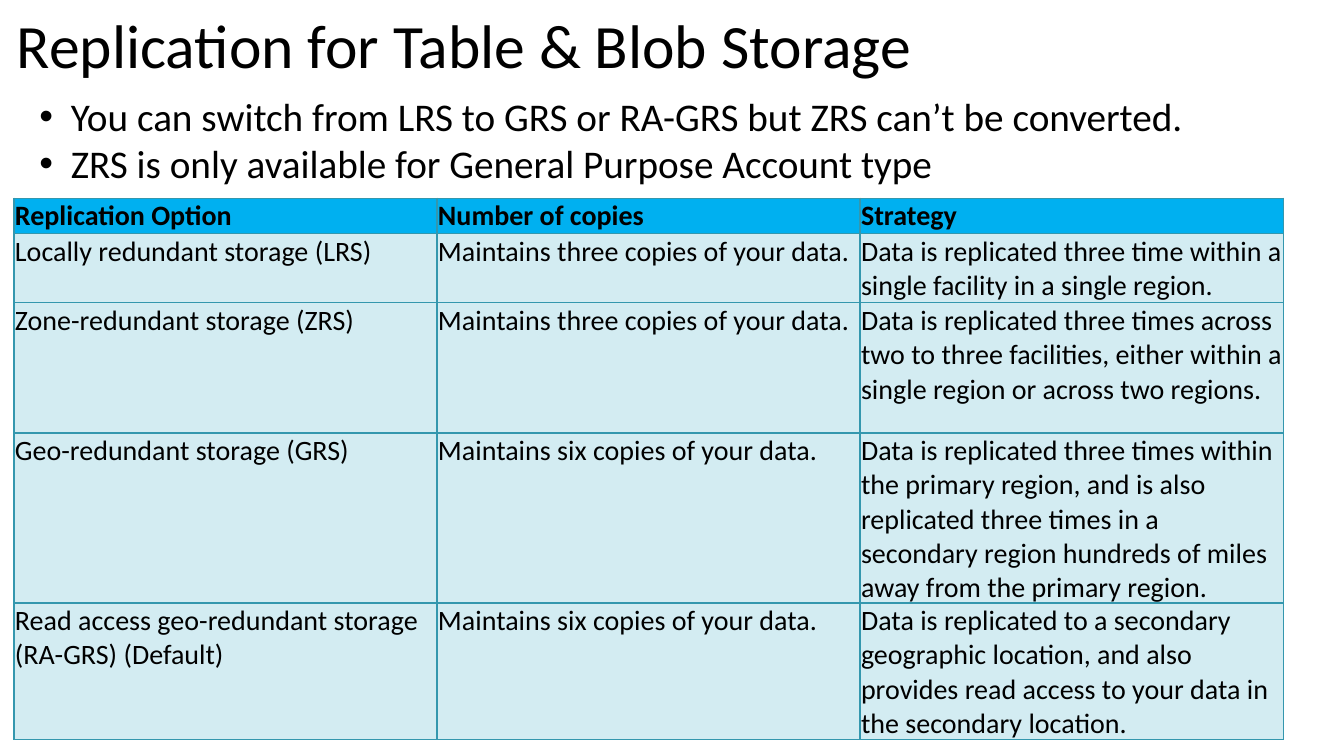
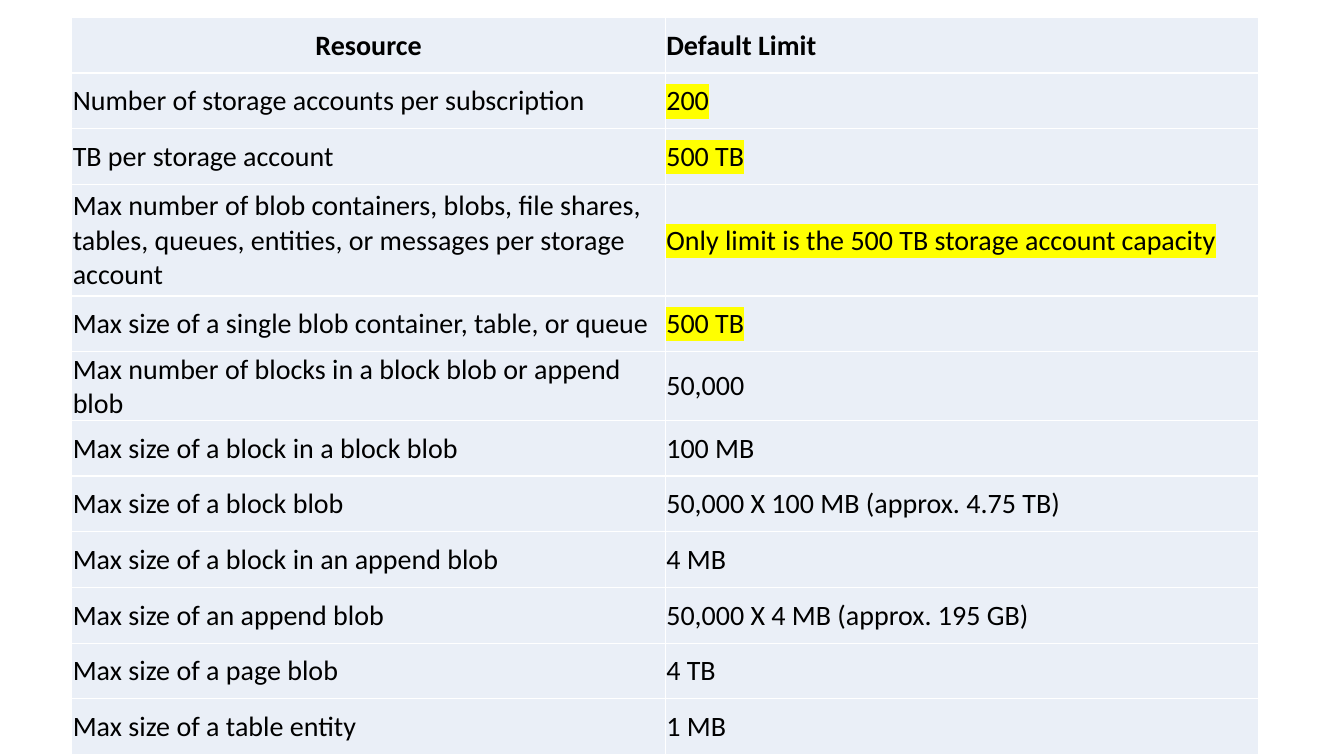
from lxml import etree
from pptx import Presentation
from pptx.dml.color import RGBColor
from pptx.enum import text as t
from pptx.oxml import ns
from pptx.util import Pt

BLACK = RGBColor(0x00, 0x00, 0x00)
WHITE = RGBColor(0xFF, 0xFF, 0xFF)
SKY = RGBColor(0x00, 0xB0, 0xF0)
PALE_TEAL = RGBColor(0xD3, 0xEC, 0xF2)
TEAL = RGBColor(0x34, 0x97, 0xAE)
PALE_BLUE = RGBColor(0xEA, 0xEF, 0xF7)
YELLOW = RGBColor(0xFF, 0xFF, 0x00)

REPLICATION_ROWS = [
    ("Replication Option", "Number of copies", "Strategy"),
    ("Locally redundant storage (LRS)", "Maintains three copies of your data.",
     "Data is replicated three time within a single facility in a single region."),
    ("Zone-redundant storage (ZRS)", "Maintains three copies of your data.",
     "Data is replicated three times across two to three facilities, "
     "either within a single region or across two regions."),
    ("Geo-redundant storage (GRS)", "Maintains six copies of your data.",
     "Data is replicated three times within the primary region, and is also replicated "
     "three times in a secondary region hundreds of miles away from the primary region."),
    ("Read access geo-redundant storage (RA-GRS) (Default)", "Maintains six copies of your data.",
     "Data is replicated to a secondary geographic location, and also provides "
     "read access to your data in the secondary location."),
]

LIMIT_ROWS = [
    ("Resource", "Default Limit"),
    ("Number of storage accounts per subscription", "200"),
    ("TB per storage account", "500 TB"),
    ("Max number of blob containers, blobs, file shares, tables, queues, entities, "
     "or messages per storage account", "Only limit is the 500 TB storage account capacity"),
    ("Max size of a single blob container, table, or queue", "500 TB"),
    ("Max number of blocks in a block blob or append blob", "50,000"),
    ("Max size of a block in a block blob", "100 MB"),
    ("Max size of a block blob", "50,000 X 100 MB (approx. 4.75 TB)"),
    ("Max size of a block in an append blob", "4 MB"),
    ("Max size of an append blob", "50,000 X 4 MB (approx. 195 GB)"),
    ("Max size of a page blob", "4 TB"),
    ("Max size of a table entity", "1 MB"),
]


def add_solid_fill(parent, color, tag="a:solidFill"):
    fill = etree.SubElement(parent, ns.qn(tag))
    target = fill if tag == "a:highlight" else fill
    etree.SubElement(target, ns.qn("a:srgbClr")).set("val", str(color))
    return fill


def write(paragraph, content, size=20, bold=False, align=None, spacing=None, highlight=None):
    run = paragraph.add_run()
    run.text = content
    run.font.size = Pt(size)
    run.font.bold = bold
    run.font.name = Deck.FONT
    run.font.color.rgb = BLACK
    if align is not None:
        paragraph.alignment = align
    if spacing is not None:
        paragraph.line_spacing = spacing
    if highlight is not None:
        properties = run.font._element
        mark = add_solid_fill(properties, highlight, "a:highlight")
        properties.find(ns.qn("a:solidFill")).addnext(mark)


class Deck:
    FONT = "Calibri"
    CELL_INSET = Pt(0.7)
    BULLET_INDENT = Pt(22.5)

    def __init__(self):
        self.presentation = Presentation()
        self.presentation.slide_width = Pt(960)
        self.presentation.slide_height = Pt(540)
        self.slide = None

    def add_slide(self):
        self.slide = self.presentation.slides.add_slide(self.presentation.slide_layouts[6])

    def text_frame(self, left, top, width, height):
        shape = self.slide.shapes.add_textbox(Pt(left), Pt(top), Pt(width), Pt(height))
        shape.text_frame.word_wrap = True
        return shape.text_frame

    def title(self, content):
        frame = self.text_frame(5, 0, 883, 69)
        frame.vertical_anchor = t.MSO_ANCHOR.MIDDLE
        write(frame.paragraphs[0], content, size=44, spacing=0.9)

    def bullets(self, items, left, top, width, height):
        frame = self.text_frame(left, top, width, height)
        frame.auto_size = t.MSO_AUTO_SIZE.SHAPE_TO_FIT_TEXT
        for index, item in enumerate(items):
            paragraph = frame.add_paragraph() if index else frame.paragraphs[0]
            write(paragraph, item, size=28)
            properties = paragraph._p.get_or_add_pPr()
            properties.set("marL", str(self.BULLET_INDENT))
            properties.set("indent", str(-self.BULLET_INDENT))
            etree.SubElement(properties, ns.qn("a:buFont")).set("typeface", "Arial")
            etree.SubElement(properties, ns.qn("a:buChar")).set("char", "•")

    def borders(self, cell, color):
        properties = cell._tc.get_or_add_tcPr()
        for index, side in enumerate(("a:lnL", "a:lnR", "a:lnT", "a:lnB")):
            line = etree.Element(ns.qn(side))
            line.set("w", str(Pt(1)))
            add_solid_fill(line, color)
            properties.insert(index, line)

    def table(self, rows, left, top, column_width, heights, border, body_fill, header_fill,
              anchor=t.MSO_ANCHOR.TOP, bottom_inset=CELL_INSET, first_align=None,
              highlighted=()):
        columns = len(rows[0])
        table = self.slide.shapes.add_table(
            len(rows), columns, Pt(left), Pt(top),
            Pt(column_width * columns), Pt(sum(heights))).table
        table.horz_banding = False
        for column in table.columns:
            column.width = Pt(column_width)
        for r, (values, height) in enumerate(zip(rows, heights)):
            table.rows[r].height = Pt(height)
            for c, value in enumerate(values):
                cell = table.cell(r, c)
                cell.margin_left = cell.margin_right = cell.margin_top = self.CELL_INSET
                cell.margin_bottom = bottom_inset
                cell.vertical_anchor = anchor
                cell.fill.solid()
                cell.fill.fore_color.rgb = body_fill if r else header_fill
                self.borders(cell, border)
                write(cell.text_frame.paragraphs[0], value, bold=r == 0,
                      align=first_align if r == c == 0 else None,
                      highlight=YELLOW if (r, c) in highlighted else None)


def replication_slide(deck):
    deck.add_slide()
    deck.title("Replication for Table & Blob Storage")
    deck.table(REPLICATION_ROWS, 10, 141.5, 302.2, [24.5, 46.8, 93, 115, 93],
               border=TEAL, body_fill=PALE_TEAL, header_fill=SKY)
    deck.bullets(["You can switch from LRS to GRS or RA-GRS but ZRS can’t be converted.",
                  "ZRS is only available for General Purpose Account type"],
                 21, 62.5, 860, 75)


def limits_slide(deck):
    deck.add_slide()
    row = 39.8
    heights = [row] * len(LIMIT_ROWS)
    heights[3] = 2 * row
    heights[5] = 49
    deck.table(LIMIT_ROWS, 51.3, 12.4, 424, heights,
               border=WHITE, body_fill=PALE_BLUE, header_fill=PALE_BLUE,
               anchor=t.MSO_ANCHOR.MIDDLE, bottom_inset=Pt(0),
               first_align=t.PP_ALIGN.CENTER,
               highlighted=[(r, 1) for r in range(1, 5)])


def main():
    deck = Deck()
    replication_slide(deck)
    limits_slide(deck)
    deck.presentation.save("out.pptx")


if __name__ == "__main__":
    main()
